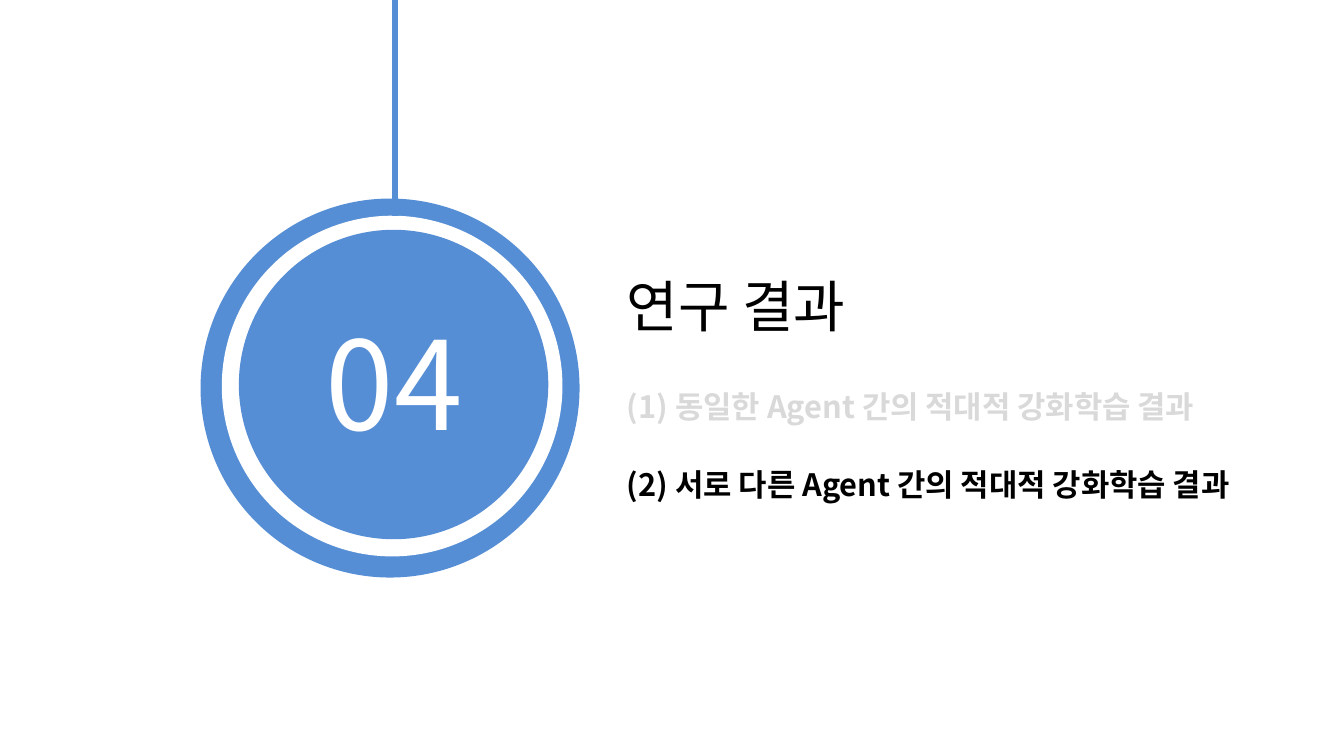
from dataclasses import dataclass

import pptx
import pptx.dml.color
import pptx.enum.shapes
import pptx.enum.text
import pptx.oxml.ns
import pptx.oxml.xmlchemy
import pptx.util
from lxml import etree


@dataclass(frozen=True)
class Theme:
    font: str = "Noto Sans CJK KR"
    blue: str = "558ED5"
    white: str = "FFFFFF"
    black: str = "000000"
    muted: str = "D9D9D9"
    number_size: float = 88
    title_size: float = 40
    item_size: float = 22
    stem_width: float = 4.75


@dataclass(frozen=True)
class Area:
    """A place on the grid, in columns and rows."""
    left: float
    top: float
    width: float
    height: float


@dataclass(frozen=True)
class Disc:
    left: float
    top: float
    diameter: float
    color: str


@dataclass(frozen=True)
class Item:
    text: str
    color: str


THEME = Theme()
ALIGN = pptx.enum.text.PP_ALIGN
SLIDE_WIDTH = pptx.util.Inches(13.33)
SLIDE_HEIGHT = pptx.util.Inches(7.5)
COLUMNS, ROWS = 160, 90

TEXT_LEFT = 73.44
TITLE_AREA = Area(TEXT_LEFT, 31.32, 41.4, 10.92)
NUMBER_AREA = Area(24.36, 36, 45.12, 18.96)
FIRST_ITEM_AREA = Area(TEXT_LEFT, 46.08, 82.44, 5.28)
ITEM_PITCH = 9.24
STEM_COLUMN, STEM_END = 47.04, 25.68

DISCS = (
    Disc(23.88, 23.64, 45.12, THEME.blue),
    Disc(26.4, 25.68, 40.56, THEME.white),
    Disc(28.44, 27.36, 36.84, THEME.blue),
)
ITEMS = (
    Item("(1) 동일한 Agent 간의 적대적 강화학습 결과", THEME.muted),
    Item("(2) 서로 다른 Agent 간의 적대적 강화학습 결과", THEME.black),
)


def column(count: float) -> int:
    return round(SLIDE_WIDTH * count / COLUMNS)


def row(count: float) -> int:
    return round(SLIDE_HEIGHT * count / ROWS)


def box(area: Area) -> tuple[int, int, int, int]:
    return column(area.left), row(area.top), column(area.width), row(area.height)


def rgb(color: str) -> pptx.dml.color.RGBColor:
    return pptx.dml.color.RGBColor.from_string(color)


def write(frame, text: str, size: float, color: str, bold: bool = False,
          align=ALIGN.LEFT, spacing: float = 0.9) -> None:
    frame.word_wrap = True
    frame.auto_size = pptx.enum.text.MSO_AUTO_SIZE.NONE
    paragraph = frame.paragraphs[0]
    paragraph.text = text
    paragraph.alignment = align
    paragraph.line_spacing = spacing
    font = paragraph.font
    font.name, font.size, font.bold = THEME.font, pptx.util.Pt(size), bold
    font.color.rgb = rgb(color)
    # Korean letters take the East Asian typeface
    latin = paragraph._p.pPr.find(".//" + pptx.oxml.ns.qn("a:latin"))
    east_asian = etree.Element(pptx.oxml.ns.qn("a:ea"), typeface=THEME.font)
    latin.addnext(east_asian)


def add_text(slide, area: Area, text: str, size: float, color: str, **style) -> None:
    write(slide.shapes.add_textbox(*box(area)).text_frame, text, size, color, **style)


def add_disc(slide, disc: Disc) -> None:
    area = Area(disc.left, disc.top, disc.diameter, disc.diameter)
    circle = slide.shapes.add_shape(pptx.enum.shapes.MSO_SHAPE.OVAL, *box(area))
    circle.shadow.inherit = False
    circle.fill.solid()
    circle.fill.fore_color.rgb = rgb(disc.color)
    circle.line.fill.background()


def add_stem(slide) -> None:
    stem = slide.shapes.add_connector(
        pptx.enum.shapes.MSO_CONNECTOR.STRAIGHT,
        column(STEM_COLUMN), 0, column(STEM_COLUMN), row(STEM_END))
    stem.line.color.rgb = rgb(THEME.blue)
    stem.line.width = pptx.util.Pt(THEME.stem_width)
    etree.SubElement(stem._element.spPr, pptx.oxml.ns.qn("a:effectLst"))


def main() -> None:
    deck = pptx.Presentation()
    deck.slide_width, deck.slide_height = SLIDE_WIDTH, SLIDE_HEIGHT
    slide = deck.slides.add_slide(deck.slide_layouts[5])

    # Section title
    title = slide.shapes.title
    title.left, title.top, title.width, title.height = box(TITLE_AREA)
    title.text_frame.vertical_anchor = pptx.enum.text.MSO_ANCHOR.MIDDLE
    write(title.text_frame, "연구 결과", THEME.title_size, THEME.black)

    # Hanging section number
    for disc in DISCS:
        add_disc(slide, disc)
    add_text(slide, NUMBER_AREA, "04", THEME.number_size, THEME.white,
             align=ALIGN.CENTER, spacing=1.0)
    add_stem(slide)

    # Section contents, with the current part in black
    first = FIRST_ITEM_AREA
    for index, item in enumerate(ITEMS):
        area = Area(first.left, first.top + index * ITEM_PITCH, first.width, first.height)
        add_text(slide, area, item.text, THEME.item_size, item.color, bold=True)

    deck.save("out.pptx")


if __name__ == "__main__":
    main()
